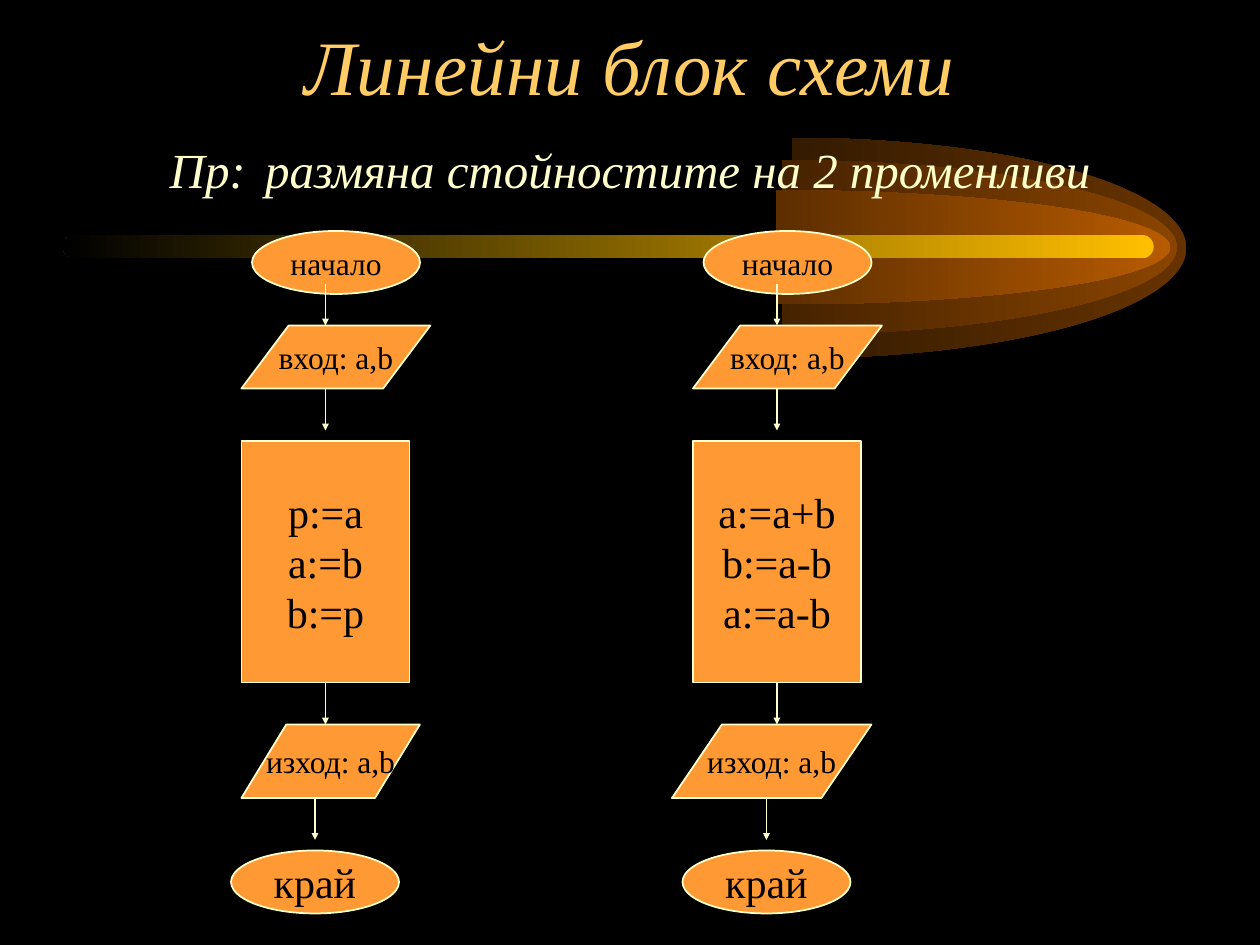
"""Build the slide with two linear flowcharts that swap two variables."""
from math import cos, pi, sin, tan

from lxml.etree import SubElement
from pptx import Presentation
from pptx.dml.color import RGBColor
from pptx.enum.shapes import MSO_CONNECTOR, MSO_SHAPE
from pptx.enum.text import MSO_ANCHOR, MSO_AUTO_SIZE, PP_ALIGN
from pptx.oxml.ns import qn
from pptx.util import Emu, Pt

PX = 9525
BLACK, ORANGE, CREAM, GOLD = "000000", "FF9933", "FFFFCC", "FFCC66"


def px(n):
    """Turn pixels into EMU."""
    return Emu(n * PX)


def rgb(value):
    """Turn a hex string into a colour."""
    return RGBColor.from_string(value)


def add_text(p, text, size=18, color=BLACK, italic=False):
    """Add a formatted run to a paragraph."""
    r = p.add_run()
    r.text = text
    r.font.name = "Times New Roman"
    r.font.size = Pt(size)
    r.font.italic = italic
    r.font.color.rgb = rgb(color)


def add_command(outline, tag, *points):
    """Add a drawing command with its points to an outline."""
    command = SubElement(outline, qn(tag))
    for x, y in points:
        SubElement(command, qn("a:pt"), x=str(round(x)), y=str(round(y)))


def add_right_arc(outline, w, h):
    """Trace the right half of an ellipse with four curves."""
    step = pi / 4
    k = 4 / 3 * tan(step / 4)

    def at(a, pull=0):
        """Give the point at an angle, shifted along its tangent."""
        return (w / 2 * (1 + cos(a) - pull * sin(a)),
                h / 2 * (1 + sin(a) + pull * cos(a)))

    add_command(outline, "a:moveTo", at(-pi / 2))
    for i in range(4):
        a = i * step - pi / 2
        add_command(outline, "a:cubicBezTo", at(a, k), at(a + step, -k), at(a + step))


class Flowchart:
    """Hold the style and the current slide."""

    def __init__(self, prs):
        """Start a title-only slide on a black background."""
        self.s = prs.slides.add_slide(prs.slide_layouts[5])
        self.s.background.fill.solid()
        self.s.background.fill.fore_color.rgb = rgb(BLACK)

    def fade(self, sp, color):
        """Fill a shape from a colour at the right to black, with no line."""
        sp.shadow.inherit = False
        sp.line.fill.background()
        sp.fill.gradient()
        sp.fill.gradient_angle = 180
        for stop, value in zip(sp.fill.gradient_stops, (color, BLACK)):
            stop.color.rgb = rgb(value)

    def half_ellipse(self, x, y, w, h, color):
        """Draw the right half of the ellipse that fits the given box."""
        builder = self.s.shapes.build_freeform(px(x), px(y))
        builder.add_line_segments([(px(x + w), px(y + h))])
        sp = builder.convert_to_shape()
        outline = sp.element.spPr.find(".//" + qn("a:path"))
        for command in list(outline):
            outline.remove(command)
        add_right_arc(outline, px(w), px(h))
        add_command(outline, "a:lnTo", (px(w) / 2, px(h) / 2))
        add_command(outline, "a:close")
        edge = SubElement(outline.getparent(), qn("a:path"),
                          w=str(px(w)), h=str(px(h)), fill="none")
        add_right_arc(edge, px(w), px(h))
        self.fade(sp, color)

    def bar(self, x, y, w, h, color):
        """Draw a round-ended gradient bar."""
        sp = self.s.shapes.add_shape(MSO_SHAPE.ROUNDED_RECTANGLE, px(x), px(y), px(w), px(h))
        sp.adjustments[0] = 0.5
        self.fade(sp, color)

    def title(self, x, y, w, h, heading, label, example):
        """Place the heading and its example line in front of the backdrop."""
        sp = self.s.shapes.title
        sp.left, sp.top, sp.width, sp.height = px(x), px(y), px(w), px(h)
        self.s.shapes.element.append(sp.element)
        tf = sp.text_frame
        tf.auto_size = MSO_AUTO_SIZE.NONE
        tf.vertical_anchor = MSO_ANCHOR.BOTTOM
        p = tf.paragraphs[0]
        p.alignment = PP_ALIGN.CENTER
        add_text(p, heading, size=44, color=GOLD, italic=True)
        p.add_line_break()
        add_text(p, label, size=28, color=CREAM, italic=True)
        add_text(p, " ", size=44, color=GOLD, italic=True)
        add_text(p, example, size=28, color=CREAM, italic=True)

    def block(self, kind, x, y, w, h, *lines, size=18, slant=None):
        """Draw a flowchart block with one paragraph for each line."""
        sp = self.s.shapes.add_shape(kind, px(x), px(y), px(w), px(h))
        sp.shadow.inherit = False
        sp.fill.solid()
        sp.fill.fore_color.rgb = rgb(ORANGE)
        sp.line.color.rgb = rgb(CREAM)
        sp.line.width = Pt(1)
        if slant is not None:
            sp.adjustments[0] = slant
        tf = sp.text_frame
        tf.word_wrap = False
        tf.vertical_anchor = MSO_ANCHOR.MIDDLE
        for i, line in enumerate(lines):
            p = tf.add_paragraph() if i else tf.paragraphs[0]
            p.alignment = PP_ALIGN.CENTER
            add_text(p, line, size=size)
        return sp

    def arrow(self, x, y, source=None):
        """Draw a short downward arrow, joined to the source block if given."""
        cxn = self.s.shapes.add_connector(MSO_CONNECTOR.STRAIGHT, px(x), px(y), px(x), px(y + 32))
        if source is not None:
            cxn.begin_connect(source, 2)
        cxn.line.color.rgb = rgb(CREAM)
        cxn.line.width = Pt(1)
        sp_pr = cxn.element.spPr
        SubElement(sp_pr.find(qn("a:ln")), qn("a:tailEnd"), type="triangle", w="sm", len="sm")
        SubElement(sp_pr, qn("a:effectLst"))

    def column(self, x, steps, output_x, output_w, output_slant):
        """Draw one flowchart from start to end."""
        self.block(MSO_SHAPE.OVAL, x + 16, 176, 128, 48, "начало")
        self.arrow(x + 72, 216)
        self.block(MSO_SHAPE.PARALLELOGRAM, x + 8, 248, 144, 48, "вход: а,b", slant=0.75)
        self.arrow(x + 72, 296)
        process = self.block(MSO_SHAPE.RECTANGLE, x + 8, 336, 128, 184, *steps, size=24)
        self.arrow(x + 72, 520, source=process)
        self.block(MSO_SHAPE.PARALLELOGRAM, output_x, 552, output_w, 56, "изход: а,b",
                   slant=output_slant)
        self.block(MSO_SHAPE.OVAL, x, 648, 128, 48, "край", size=24)
        self.arrow(x + 64, 608)


def main():
    """Build and save the slide."""
    prs = Presentation()
    prs.slide_width, prs.slide_height = px(960), px(720)
    chart = Flowchart(prs)
    for x, y, h, color in ((303, 105, 168, "663300"),
                           (296, 122, 133, "894400"),
                           (291, 145, 87, "B75B00")):
        chart.half_ellipse(x, y, 601, h, color)
    chart.bar(48, 179, 831, 18, "FFBF00")
    chart.title(72, 40, 816, 120, "Линейни блок схеми", "Пр:",
                "размяна стойностите на 2 променливи")
    chart.column(176, ("p:=a", "a:=b", "b:=p"), 184, 136, 0.61)
    chart.column(520, ("a:=a+b", "b:=a-b", "a:=a-b"), 512, 152, 0.68)
    prs.save("out.pptx")


if __name__ == "__main__":
    main()
